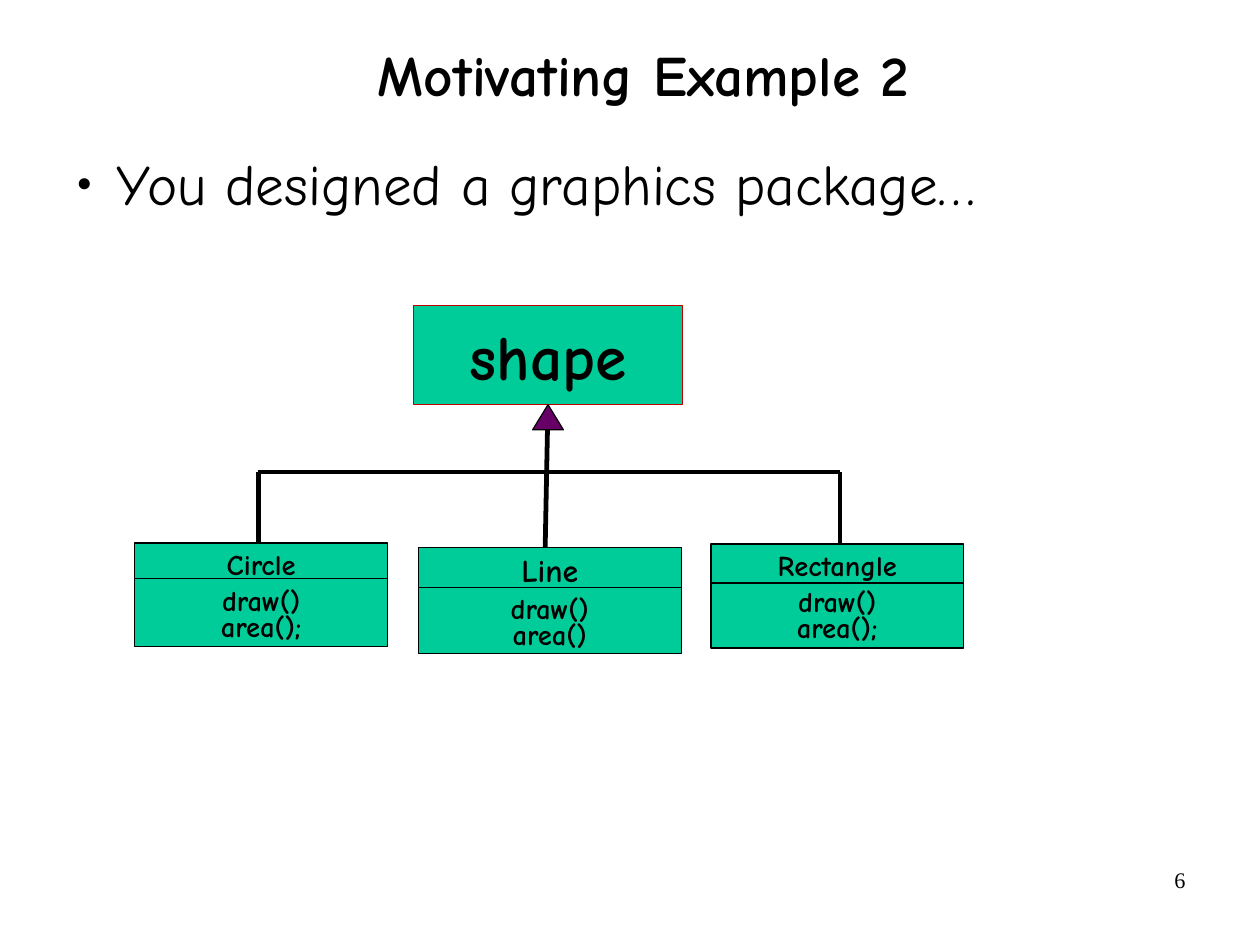
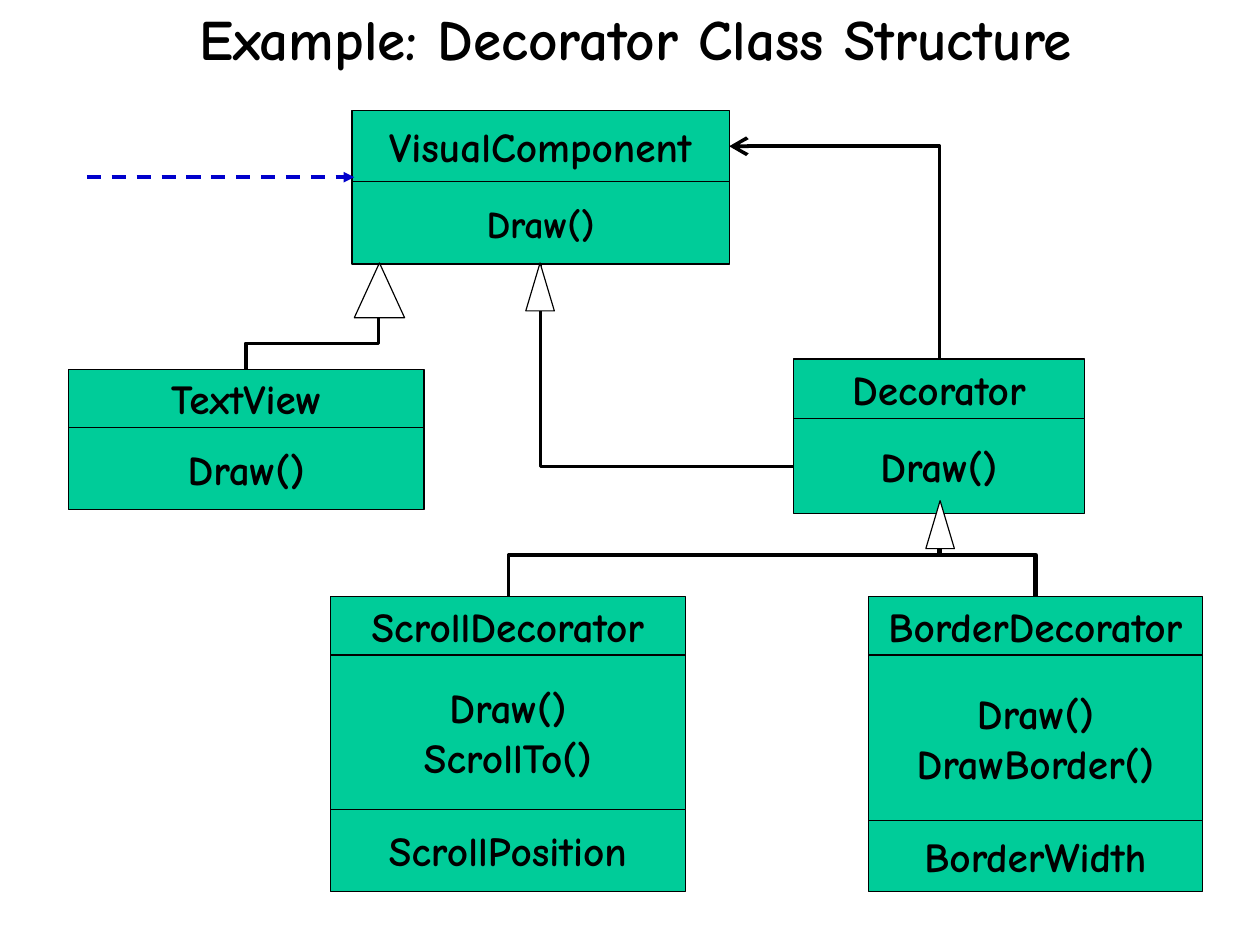
from dataclasses import dataclass
from typing import Optional

from lxml.etree import SubElement
from pptx import Presentation
from pptx.dml.color import RGBColor
from pptx.enum.dml import MSO_LINE
from pptx.enum.shapes import MSO_CONNECTOR as Link, MSO_SHAPE as Preset
from pptx.enum.text import MSO_ANCHOR as Anchor, PP_ALIGN as Align
from pptx.oxml.ns import qn
from pptx.util import Inches, Pt

# The page is 28 by 21 centimetres
PAGE_WIDTH, PAGE_HEIGHT = Inches(28 / 2.54), Inches(21 / 2.54)

BLACK = RGBColor(0x00, 0x00, 0x00)
WHITE = RGBColor(0xFF, 0xFF, 0xFF)
GREEN = RGBColor(0x00, 0xCC, 0x99)
PURPLE = RGBColor(0x66, 0x00, 0x66)
RED = RGBColor(0xC0, 0x00, 0x00)
BLUE = RGBColor(0x00, 0x00, 0xCC)
COMIC, SERIF = "Comic Neue", "Times New Roman"
THIN, MEDIUM, THICK = 0.75, 2.25, 3

Point = tuple[float, float]


@dataclass
class Line:
    text: str
    size: float
    bold: bool = True
    font: str = COMIC
    align: Align = Align.CENTER
    spacing: Optional[float] = None
    after: Optional[float] = None


@dataclass
class Area:
    left: float
    top: float
    width: float
    height: float

    def inches(self) -> list:
        return [Inches(v) for v in (self.left, self.top, self.width, self.height)]


@dataclass
class Subclass:
    area: Area
    divider: float
    name: str
    size: float
    methods: list[str]


@dataclass
class Compartment:
    height: float
    lines: list[str]
    size: float = 26


@dataclass
class ClassBox:
    left: float
    top: float
    width: float
    compartments: list[Compartment]


@dataclass
class Elbow:
    """A connector that leaves downwards; corners is 1 or 2."""
    start: Point
    end: Point
    corners: int = 2
    weight: float = MEDIUM
    head: Optional[str] = None


# Text
def write(frame, lines: list[Line], anchor: Anchor, wrap: bool,
          margin_x: float = 0, margin_y: float = 0) -> None:
    frame.word_wrap = wrap
    frame.vertical_anchor = anchor
    frame.margin_left = frame.margin_right = Inches(margin_x)
    frame.margin_top = frame.margin_bottom = Inches(margin_y)
    for index, line in enumerate(lines):
        para = frame.add_paragraph() if index else frame.paragraphs[0]
        para.text = line.text
        para.alignment = line.align
        if line.spacing:
            para.line_spacing = line.spacing
        if line.after:
            para.space_after = Pt(line.after)
        font = para.font
        font.name, font.size, font.bold = line.font, Pt(line.size), line.bold
        font.color.rgb = BLACK


def add_title(page, text: str, area: Area) -> None:
    box = page.shapes.add_textbox(*area.inches())
    write(box.text_frame, [Line(text, 36, spacing=0.88)], Anchor.MIDDLE, True)


def add_page_number(page, number: str) -> None:
    box = page.shapes.add_textbox(*Area(7.9, 7.53, 2.57, 0.57).inches())
    write(box.text_frame, [Line(number, 14, False, SERIF, Align.RIGHT)],
          Anchor.TOP, True, 0.1, 0.05)


def add_bullet(page, text: str, area: Area) -> None:
    box = page.shapes.add_textbox(*area.inches())
    props = box.text_frame.paragraphs[0]._p.get_or_add_pPr()
    props.set("marL", str(Inches(0.46)))
    props.set("indent", str(Inches(-0.35)))
    color = SubElement(props, qn("a:buClr"))
    SubElement(color, qn("a:srgbClr"), val=str(BLACK))
    SubElement(props, qn("a:buSzPct"), val="45000")
    SubElement(props, qn("a:buFont"), typeface=SERIF)
    SubElement(props, qn("a:buChar"), char="●")
    write(box.text_frame, [Line(text, 36, False, align=Align.LEFT, after=13.8)],
          Anchor.TOP, True)


# Shapes and connectors
def add_block(page, area: Area, lines: list[Line] = (), fill: RGBColor = GREEN,
              outline: RGBColor = BLACK, preset: Preset = Preset.RECTANGLE) -> None:
    block = page.shapes.add_shape(preset, *area.inches())
    block.shadow.inherit = False
    block.fill.solid()
    block.fill.fore_color.rgb = fill
    block.line.color.rgb = outline
    block.line.width = Pt(THIN)
    if lines:
        write(block.text_frame, lines, Anchor.MIDDLE, False, 0.11, 0.06)


def add_triangle(page, area: Area, fill: RGBColor = WHITE) -> None:
    add_block(page, area, fill=fill, preset=Preset.ISOSCELES_TRIANGLE)


def add_line(page, start: Point, end: Point, weight: float = THIN,
             color: RGBColor = BLACK, dashed: bool = False,
             head: Optional[str] = None, tail: Optional[str] = None,
             kind: Link = Link.STRAIGHT, arrow_size: str = "med"):
    link = page.shapes.add_connector(kind, *(Inches(v) for v in (*start, *end)))
    link.line.color.rgb = color
    link.line.width = Pt(weight)
    if dashed:
        link.line.dash_style = MSO_LINE.DASH
    props = link._element.spPr
    outline = props.find(qn("a:ln"))
    for tag, arrow in (("a:headEnd", head), ("a:tailEnd", tail)):
        if arrow:
            SubElement(outline, qn(tag), type=arrow, w=arrow_size, len=arrow_size)
    SubElement(props, qn("a:effectLst"))
    return link


def set_corners(link, corners: int) -> None:
    link._element.spPr.find(qn("a:prstGeom")).set("prst", f"bentConnector{corners + 1}")


def add_elbow(page, elbow: Elbow) -> None:
    (x1, y1), (x2, y2) = elbow.start, elbow.end
    # The unrotated frame swaps width and height around the same centre
    half_w, half_h = (y2 - y1) / 2, abs(x2 - x1) / 2
    mid_x, mid_y = (x1 + x2) / 2, (y1 + y2) / 2
    link = add_line(page, (mid_x - half_w, mid_y - half_h),
                    (mid_x + half_w, mid_y + half_h), elbow.weight,
                    head=elbow.head, kind=Link.ELBOW)
    set_corners(link, elbow.corners)
    frame = link._element.spPr.find(qn("a:xfrm"))
    rightward = x2 > x1
    frame.set("rot", str((270 if rightward else 90) * 60000))
    if rightward:
        frame.set("flipH", "1")


def add_subclass(page, item: Subclass) -> None:
    lines = [Line(item.name, item.size, after=6.1)]
    lines += [Line(method, 18, spacing=0.75) for method in item.methods]
    add_block(page, item.area, lines)
    add_line(page, (item.area.left, item.divider),
             (item.area.left + item.area.width, item.divider))


def add_class(page, item: ClassBox) -> None:
    top = item.top
    for part in item.compartments:
        add_block(page, Area(item.left, top, item.width, part.height),
                  [Line(text, part.size) for text in part.lines])
        top += part.height


# Slide content
SUBCLASSES = [
    Subclass(Area(3.66, 4.79, 2.3, 0.93), 5.14, "Line", 20, ["draw()", "area()"]),
    Subclass(Area(6.22, 4.76, 2.21, 0.91), 5.1, "Rectangle", 18, ["draw()", "area();"]),
    Subclass(Area(1.18, 4.75, 2.21, 0.91), 5.06, "Circle", 18, ["draw()", "area();"]),
]

CLASSES = [
    ClassBox(3.08, 0.97, 3.3, [Compartment(0.62, ["VisualComponent"]),
                               Compartment(0.72, ["Draw()"], 24)]),
    ClassBox(0.6, 3.23, 3.11, [Compartment(0.51, ["TextView"]),
                               Compartment(0.72, ["Draw()"])]),
    ClassBox(6.94, 3.14, 2.55, [Compartment(0.52, ["Decorator"]),
                                Compartment(0.83, ["Draw()"])]),
    ClassBox(2.89, 5.22, 3.11, [Compartment(0.51, ["ScrollDecorator"]),
                                Compartment(1.35, ["Draw()", "ScrollTo()"]),
                                Compartment(0.72, ["ScrollPosition"])]),
    ClassBox(7.6, 5.22, 2.92, [Compartment(0.51, ["BorderDecorator"]),
                               Compartment(1.45, ["Draw()", "DrawBorder()"]),
                               Compartment(0.62, ["BorderWidth"])]),
]

ELBOWS = [
    Elbow((3.31, 2.78), (2.15, 3.23)),
    Elbow((4.73, 2.31), (6.94, 4.08), corners=1),
    Elbow((8.22, 4.49), (4.45, 5.22), head="triangle"),
    Elbow((8.22, 4.49), (9.06, 5.22), weight=THICK, head="triangle"),
]

TRIANGLES = [Area(4.6, 2.3, 0.25, 0.42), Area(3.1, 2.3, 0.44, 0.48),
             Area(8.1, 4.38, 0.25, 0.42)]


def build_graphics_page(page) -> None:
    add_page_number(page, "6")
    add_title(page, "Motivating Example 2", Area(0.93, 0, 9.4, 1.37))
    add_bullet(page, "You designed a graphics package…", Area(0.56, 1.3, 9.4, 5.92))
    add_block(page, Area(3.62, 2.67, 2.35, 0.87), [Line("shape", 40)], outline=RED)
    for item in SUBCLASSES:
        add_subclass(page, item)
    # Inheritance tree
    add_triangle(page, Area(4.66, 3.54, 0.27, 0.22), PURPLE)
    add_line(page, (4.79, 3.76), (4.77, 4.79), THICK)
    left, right, bar = 2.26, 7.35, 4.13
    add_line(page, (left, bar), (right, bar), THICK)
    for x in (left, right):
        add_line(page, (x, bar), (x, 4.75), THICK)


def build_decorator_page(page) -> None:
    add_title(page, "Example: Decorator Class Structure", Area(0.86, 0, 9.4, 0.74))
    for item in CLASSES:
        add_class(page, item)
    for elbow in ELBOWS:
        add_elbow(page, elbow)
    reference = add_line(page, (6.38, 1.28), (8.22, 3.14), MEDIUM,
                         head="arrow", kind=Link.ELBOW, arrow_size="lg")
    set_corners(reference, 1)
    for area in TRIANGLES:
        add_triangle(page, area)
    add_line(page, (0.76, 1.55), (3.1, 1.55), MEDIUM, BLUE, dashed=True, tail="triangle")


def main() -> None:
    deck = Presentation()
    deck.slide_width, deck.slide_height = PAGE_WIDTH, PAGE_HEIGHT
    for build in (build_graphics_page, build_decorator_page):
        build(deck.slides.add_slide(deck.slide_layouts[6]))
    deck.save("out.pptx")


if __name__ == "__main__":
    main()
